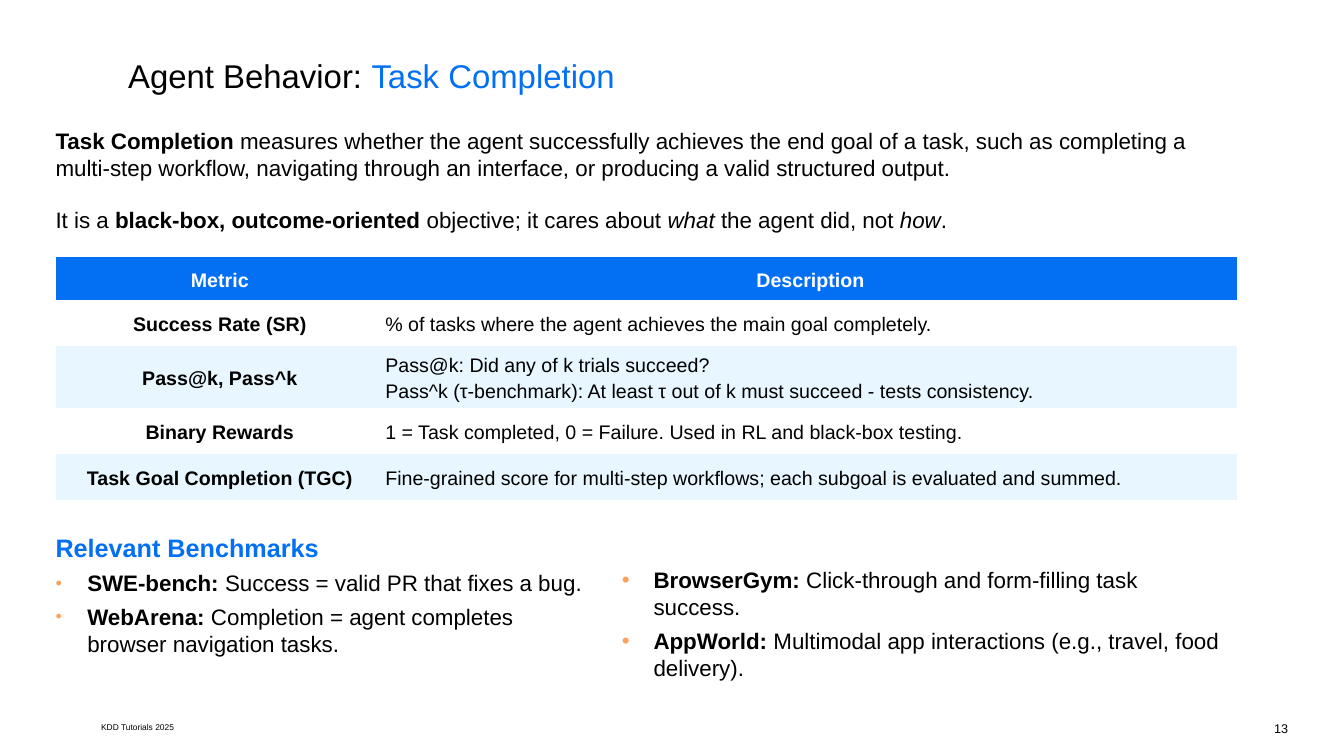
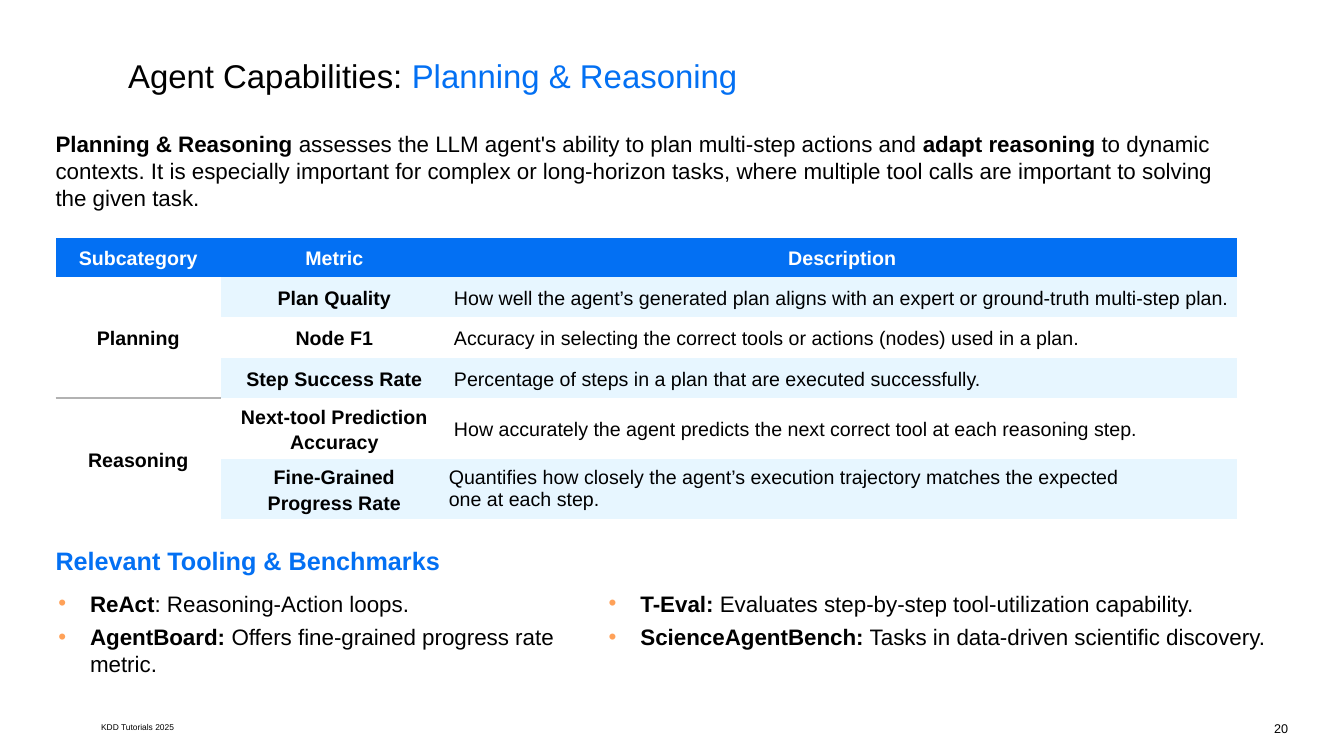
import pptx
import pptx.dml.color
import pptx.enum.text
import pptx.oxml
import pptx.oxml.ns
import pptx.util

Cm, Pt = pptx.util.Cm, pptx.util.Pt
ALIGN = pptx.enum.text.PP_ALIGN
ANCHOR = pptx.enum.text.MSO_ANCHOR
NS = pptx.oxml.ns.nsdecls("a")

BLUE, PALE, WHITE, BLACK = "0370F3", "E7F6FF", "FFFFFF", "000000"
ORANGE, GREY = "FFA158", "B2B2B2"
PLAIN_GRID = "{2D5ABB26-0587-4C30-8999-92F81FD0307C}"
BOLD, ITALIC = {"bold": True}, {"italic": True}


def rgb(code):
    return pptx.dml.color.RGBColor.from_string(code)


def node(parent, xml, place=None):
    """Build a drawing element and put it into parent, last by default."""
    child = pptx.oxml.parse_xml(xml)
    parent.insert(len(parent) if place is None else place, child)


class Deck:
    left, width = 1.4, 29.77
    base = {"name": "Arial", "size": Pt(16), "bold": False, "color": BLACK}

    def __init__(self):
        self.file = pptx.Presentation()
        self.file.slide_width, self.file.slide_height = Cm(33.87), Cm(19.05)
        self.slide = None

    def page(self, topic, focus, number):
        """Start a slide with its title, footer and number."""
        self.slide = self.file.slides.add_slide(self.file.slide_layouts[6])
        title = [topic, (focus, {"color": BLUE})]
        self.text(3.23, 1.4, 29, 1, [title], {"size": Pt(23.5)})
        foot = self.text(2.55, 18.01, 4, 0.64, [["KDD Tutorials 2025"]], {"size": Pt(6)})
        foot.vertical_anchor = ANCHOR.MIDDLE
        mark = self.text(30.96, 18.16, 1.5, 0.4, [[number]], {"size": Pt(9)})
        mark.paragraphs[0].alignment = ALIGN.RIGHT

    def add_runs(self, para, runs, style):
        """Add runs, each a string or a (string, format) pair."""
        for item in runs:
            words, extra = (item, {}) if isinstance(item, str) else item
            for index, line in enumerate(words.split("\n")):
                if index:
                    para.add_line_break()
                run = para.add_run()
                run.text = line
                for key, value in {**self.base, **style, **extra}.items():
                    if key == "color":
                        run.font.color.rgb = rgb(value)
                    else:
                        setattr(run.font, key, value)

    def text(self, x, y, w, h, paras, style={}, gap=18, dot=None):
        """Add a text box; dot gives the bullet size in percent."""
        box = self.slide.shapes.add_textbox(Cm(x), Cm(y), Cm(w), Cm(h))
        frame = box.text_frame
        frame.word_wrap = True
        for side in ("left", "top", "right", "bottom"):
            setattr(frame, f"margin_{side}", 0)
        for index, runs in enumerate(paras):
            para = frame.add_paragraph() if index else frame.paragraphs[0]
            if dot:
                self.bullet(para, dot)
            if index:
                para.space_before = Pt(gap)
            self.add_runs(para, runs, style)
        return frame

    def bullet(self, para, size):
        props = para._p.get_or_add_pPr()
        indent = Cm(0.8)
        props.set("marL", str(indent))
        props.set("indent", str(-indent))
        for xml in (f'<a:buClr {NS}><a:srgbClr val="{ORANGE}"/></a:buClr>',
                    f'<a:buSzPct {NS} val="{size * 1000}"/>',
                    f'<a:buFont {NS} typeface="Arial"/>',
                    f'<a:buChar {NS} char="•"/>'):
            node(props, xml)

    def intro(self, y, paras):
        self.text(self.left, y, self.width, 2.8, paras)

    def head(self, y, words):
        self.text(self.left, y, self.width, 0.8, [[words]],
                  {"size": Pt(18), "bold": True, "color": BLUE})

    def points(self, x, y, w, items, dot=100):
        """Add a bulleted list of (term, meaning) pairs."""
        paras = [[(term, BOLD), rest] for term, rest in items]
        self.text(x, y, w, 2.3, paras, gap=5, dot=dot)

    def table(self, y, cols, highs, rows, fills, pad=0.03):
        """Add a table; the last column is prose, with pad on its left."""
        shape = self.slide.shapes.add_table(
            len(rows), len(cols), Cm(self.left), Cm(y), Cm(self.width), Cm(sum(highs)))
        grid = shape.table
        grid.first_row = grid.horz_banding = False
        props = grid._tbl.tblPr
        props.find(pptx.oxml.ns.qn("a:tableStyleId")).text = PLAIN_GRID
        for col, size in zip(grid.columns, cols):
            col.width = Cm(size)
        for row, size in zip(grid.rows, highs):
            row.height = Cm(size)
        last = len(cols) - 1
        for r, row in enumerate(rows):
            for c, words in enumerate(row):
                prose = r > 0 and c == last
                cell = grid.cell(r, c)
                fill = BLUE if r == 0 else fills[r % 2]
                if r and c < last - 1:
                    fill = WHITE
                look = {"margin_left": Cm(pad if prose else 0.03),
                        "margin_right": Cm(0.03), "margin_top": Cm(0.03),
                        "margin_bottom": Cm(0.03), "vertical_anchor": ANCHOR.MIDDLE}
                for key, value in look.items():
                    setattr(cell, key, value)
                cell.fill.solid()
                cell.fill.fore_color.rgb = rgb(fill)
                if words:
                    para = cell.text_frame.paragraphs[0]
                    para.line_spacing = 1.15
                    para.alignment = ALIGN.LEFT if prose else ALIGN.CENTER
                    self.add_runs(para, [words], {
                        "size": Pt(14), "bold": not prose,
                        "color": BLACK if r else WHITE})
        return grid

    def rule(self, cell, side):
        """Draw a thin border on one side (T or B) of a cell."""
        node(cell._tc.get_or_add_tcPr(),
             f'<a:ln{side} {NS} w="{Pt(1)}"><a:solidFill><a:srgbClr val="{GREY}"/>'
             f'</a:solidFill></a:ln{side}>', 0)


def tasks(deck):
    deck.page("Agent Behavior: ", "Task Completion", "13")
    deck.intro(3.2, [
        [("Task Completion ", BOLD),
         "measures whether the agent successfully achieves the end goal of a task, "
         "such as completing a multi-step workflow, navigating through an interface, "
         "or producing a valid structured output."],
        ["It is a", (" black-box, outcome-oriented", BOLD),
         " objective; it cares about ", ("what ", ITALIC),
         "the agent did, not ", ("how", ITALIC), "."]])
    deck.table(6.48, [8.28, 21.49], [1.09, 1.15, 1.57, 1.15, 1.15], [
        ["Metric", "Description"],
        ["Success Rate (SR)",
         "% of tasks where the agent achieves the main goal completely."],
        ["Pass@k, Pass^k",
         "Pass@k: Did any of k trials succeed?\nPass^k (τ-benchmark): "
         "At least τ out of k must succeed - tests consistency."],
        ["Binary Rewards",
         "1 = Task completed, 0 = Failure. Used in RL and black-box testing."],
        ["Task Goal Completion (TGC)",
         "Fine-grained score for multi-step workflows; "
         "each subgoal is evaluated and summed."]], [PALE, WHITE])
    deck.head(13.42, "Relevant Benchmarks")
    deck.points(deck.left, 14.35, 14, [
        ("SWE-bench: ", "Success = valid PR that fixes a bug."),
        ("WebArena:", " Completion = agent completes\nbrowser navigation tasks.")], 80)
    deck.points(15.67, 14.27, 15.2, [
        ("BrowserGym: ", "Click-through and form-filling task success."),
        ("AppWorld:", " Multimodal app interactions (e.g., travel, food delivery).")])


def plans(deck):
    deck.page("Agent Capabilities: ", "Planning & Reasoning", "20")
    deck.intro(3.28, [
        [("Planning & Reasoning", BOLD),
         " assesses the LLM agent's ability to plan multi-step actions and",
         (" adapt reasoning", BOLD),
         " to dynamic contexts. It is especially important for complex or "
         "long-horizon tasks, where multiple tool calls are important to solving "
         "the given task."]])
    grid = deck.table(6, [4.17, 5.71, 19.89], [0.97, 1.02, 1.02, 1.02, 1.53, 1.53], [
        ["Subcategory", "Metric", "Description"],
        ["Planning", "Plan Quality",
         "How well the agent’s generated plan aligns with an expert or "
         "ground-truth multi-step plan."],
        ["", "Node F1",
         "Accuracy in selecting the correct tools or actions (nodes) used in a plan."],
        ["", "Step Success Rate",
         "Percentage of steps in a plan that are executed successfully."],
        ["Reasoning", "Next-tool Prediction Accuracy",
         "How accurately the agent predicts the next correct tool "
         "at each reasoning step."],
        ["", "Fine-Grained\nProgress Rate",
         "Quantifies how closely the agent’s execution trajectory matches "
         "the expected\none at each step."]], [WHITE, PALE], 0.16)
    for top, bottom in ((1, 3), (4, 5)):
        grid.cell(top, 0).merge(grid.cell(bottom, 0))
    for row, side in ((1, "B"), (3, "B"), (4, "T")):
        deck.rule(grid.cell(row, 0), side)
    final = grid.cell(5, 2)
    final.margin_left = Cm(0.03)
    final.text_frame.paragraphs[0].line_spacing = 1.0
    deck.head(13.74, "Relevant Tooling & Benchmarks")
    deck.points(1.47, 14.86, 13.6, [
        ("ReAct", ": Reasoning-Action loops."),
        ("AgentBoard: ", "Offers fine-grained progress rate metric.")])
    deck.points(15.34, 14.86, 17, [
        ("T-Eval:", " Evaluates step-by-step tool-utilization capability."),
        ("ScienceAgentBench:", " Tasks in data-driven scientific discovery.")])


def main():
    deck = Deck()
    tasks(deck)
    plans(deck)
    deck.file.save("out.pptx")


if __name__ == "__main__":
    main()
